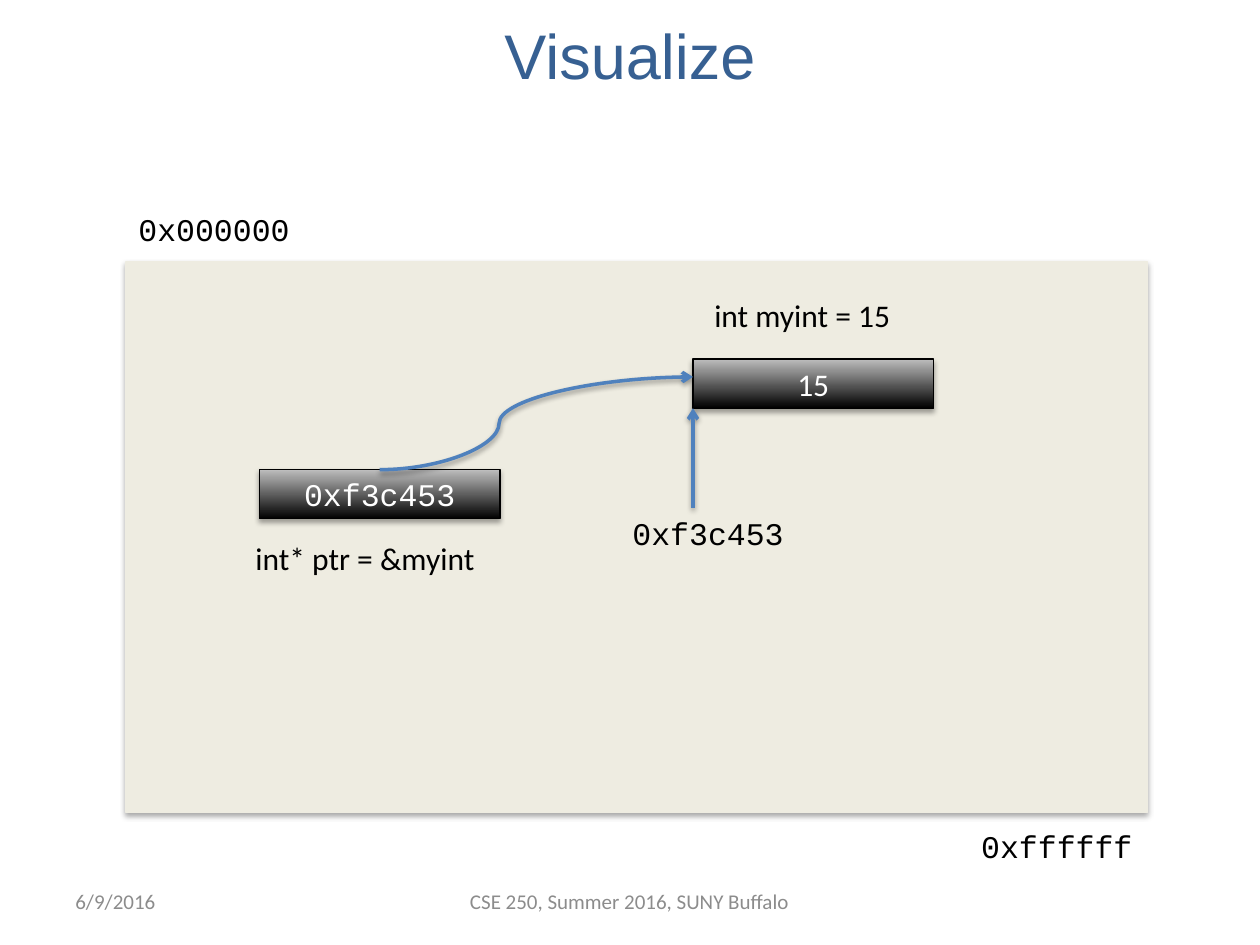
from lxml import etree
from pptx import Presentation
from pptx import util as u
from pptx.dml.color import RGBColor
from pptx.enum import shapes, text
from pptx.oxml.ns import qn

COLORS = {
    "title": "376092", "panel": "EEECE1", "ink": "000000", "sheen": "BDBDBD",
    "white": "FFFFFF", "arrow": "4F81BD", "footer": "8C8C8C",
}
CODE, BODY, HEADING = "Courier New", "Calibri", "Arial"
CELL_WIDTH, CELL_HEIGHT = 4.85, 0.99
LABEL_HEIGHT = 1.02


class MemoryDiagram:
    """Draws a memory diagram on one slide in a shared style."""

    def __init__(self, presentation):
        self.slide = presentation.slides.add_slide(presentation.slide_layouts[6])

    def color(self, name):
        return RGBColor.from_string(COLORS[name])

    def shadow(self, shape, distance, opacity):
        properties = shape._element.spPr
        effects = properties.find(qn("a:effectLst"))
        if effects is None:
            effects = etree.SubElement(properties, qn("a:effectLst"))
        outer = etree.SubElement(
            effects, qn("a:outerShdw"), blurRad=str(u.Pt(3.1)),
            dist=str(u.Pt(distance)), dir="5400000", rotWithShape="0")
        black = etree.SubElement(outer, qn("a:srgbClr"), val=COLORS["ink"])
        etree.SubElement(black, qn("a:alpha"), val=str(opacity * 1000))

    def set_text(self, shape, words, font, size, color, align):
        paragraph = shape.text_frame.paragraphs[0]
        paragraph.text = words
        paragraph.alignment = align
        paragraph.font.name = font
        paragraph.font.size = u.Pt(size)
        paragraph.font.color.rgb = self.color(color)

    def block(self, left, top, width, height, line):
        shape = self.slide.shapes.add_shape(
            shapes.MSO_SHAPE.RECTANGLE, u.Cm(left), u.Cm(top), u.Cm(width), u.Cm(height))
        shape.line.color.rgb = self.color(line)
        shape.line.width = u.Pt(0.75)
        shape.shadow.inherit = False
        self.shadow(shape, 1.8, 35)
        return shape

    def panel(self, left, top, width, height):
        shape = self.block(left, top, width, height, "panel")
        shape.fill.solid()
        shape.fill.fore_color.rgb = self.color("panel")

    def cell(self, left, top, value, font):
        shape = self.block(left, top, CELL_WIDTH, CELL_HEIGHT, "ink")
        shape.fill.gradient()
        shape.fill.gradient_angle = 90
        for stop, name in zip(shape.fill.gradient_stops, ("ink", "sheen")):
            stop.color.rgb = self.color(name)
        shape.text_frame.vertical_anchor = text.MSO_ANCHOR.MIDDLE
        self.set_text(shape, value, font, 18, "white", text.PP_ALIGN.CENTER)

    def text_box(self, left, top, width, height):
        return self.slide.shapes.add_textbox(
            u.Cm(left), u.Cm(top), u.Cm(width), u.Cm(height))

    def label(self, left, top, width, words, font):
        box = self.text_box(left, top, width, LABEL_HEIGHT)
        box.text_frame.word_wrap = False
        box.text_frame.auto_size = text.MSO_AUTO_SIZE.SHAPE_TO_FIT_TEXT
        self.set_text(box, words, font, 18, "ink", text.PP_ALIGN.LEFT)

    def banner(self, left, top, width, height, words, font, size, color,
               align=text.PP_ALIGN.CENTER):
        box = self.text_box(left, top, width, height)
        box.text_frame.word_wrap = True
        box.text_frame.vertical_anchor = text.MSO_ANCHOR.MIDDLE
        self.set_text(box, words, font, size, color, align)

    def arrow(self, kind, start, end, bend=None):
        connector = self.slide.shapes.add_connector(
            kind, *(u.Cm(length) for length in start + end))
        connector.line.color.rgb = self.color("arrow")
        connector.line.width = u.Pt(2)
        properties = connector._element.spPr
        etree.SubElement(properties.find(qn("a:ln")), qn("a:tailEnd"), type="arrow")
        if bend is not None:
            guides = properties.find(qn("a:prstGeom")).get_or_add_avLst()
            etree.SubElement(guides, qn("a:gd"), name="adj1", fmla=f"val {bend}")
        self.shadow(connector, 1.6, 38)


def main():
    presentation = Presentation()
    presentation.slide_width, presentation.slide_height = u.Cm(25.4), u.Cm(19.05)
    diagram = MemoryDiagram(presentation)
    int_left, int_top = 13.97, 7.24
    pointer_left, pointer_top = 5.23, 9.47

    diagram.banner(0, 0.18, 25.4, 1.85, "Visualize", HEADING, 36, "title")
    diagram.panel(2.54, 5.28, 20.6, 11.1)
    diagram.cell(int_left, int_top, "15", BODY)
    for left, top, address in ((2.54, 4.11, "0x000000"), (19.53, 16.54, "0xffffff"),
                               (12.5, 10.24, "0xf3c453")):
        diagram.label(left, top, 3.58, address, CODE)
    diagram.cell(pointer_left, pointer_top, "0xf3c453", CODE)
    diagram.arrow(shapes.MSO_CONNECTOR.STRAIGHT,
                  (int_left, 10.24), (int_left, int_top + CELL_HEIGHT))
    diagram.arrow(shapes.MSO_CONNECTOR.CURVE,
                  (pointer_left + CELL_WIDTH / 2, pointer_top), (int_left, 7.6), 38100)
    diagram.label(14.15, 5.84, 4.52, "int myint = 15", BODY)
    diagram.label(4.9, 10.74, 5.51, "int* ptr = &myint", BODY)
    diagram.banner(1.27, 17.65, 5.92, LABEL_HEIGHT, "6/9/2016", BODY, 12, "footer",
                   text.PP_ALIGN.LEFT)
    diagram.banner(7.42, 17.65, 10.54, LABEL_HEIGHT,
                   "CSE 250, Summer 2016, SUNY Buffalo", BODY, 12, "footer")
    presentation.save("out.pptx")


if __name__ == "__main__":
    main()
